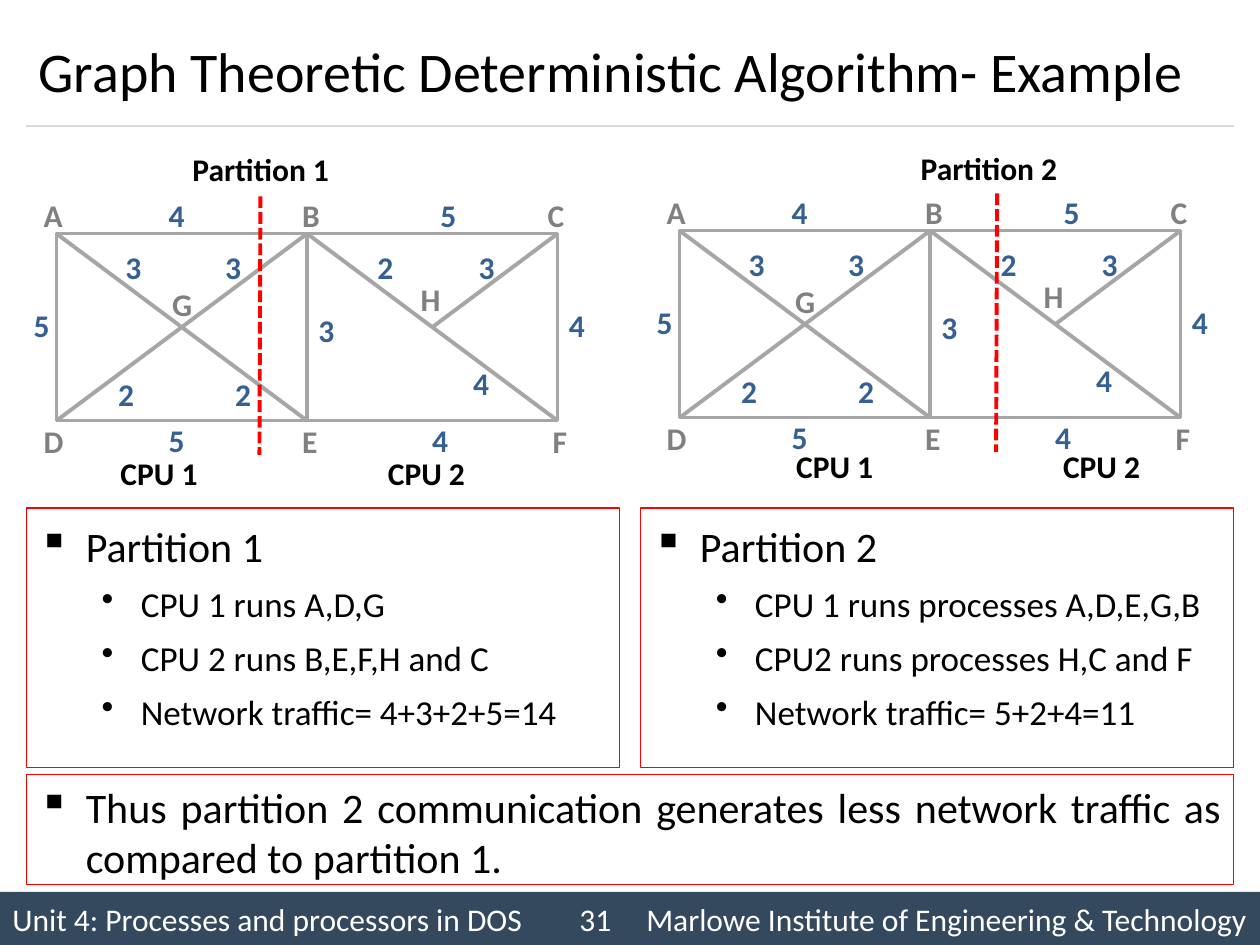
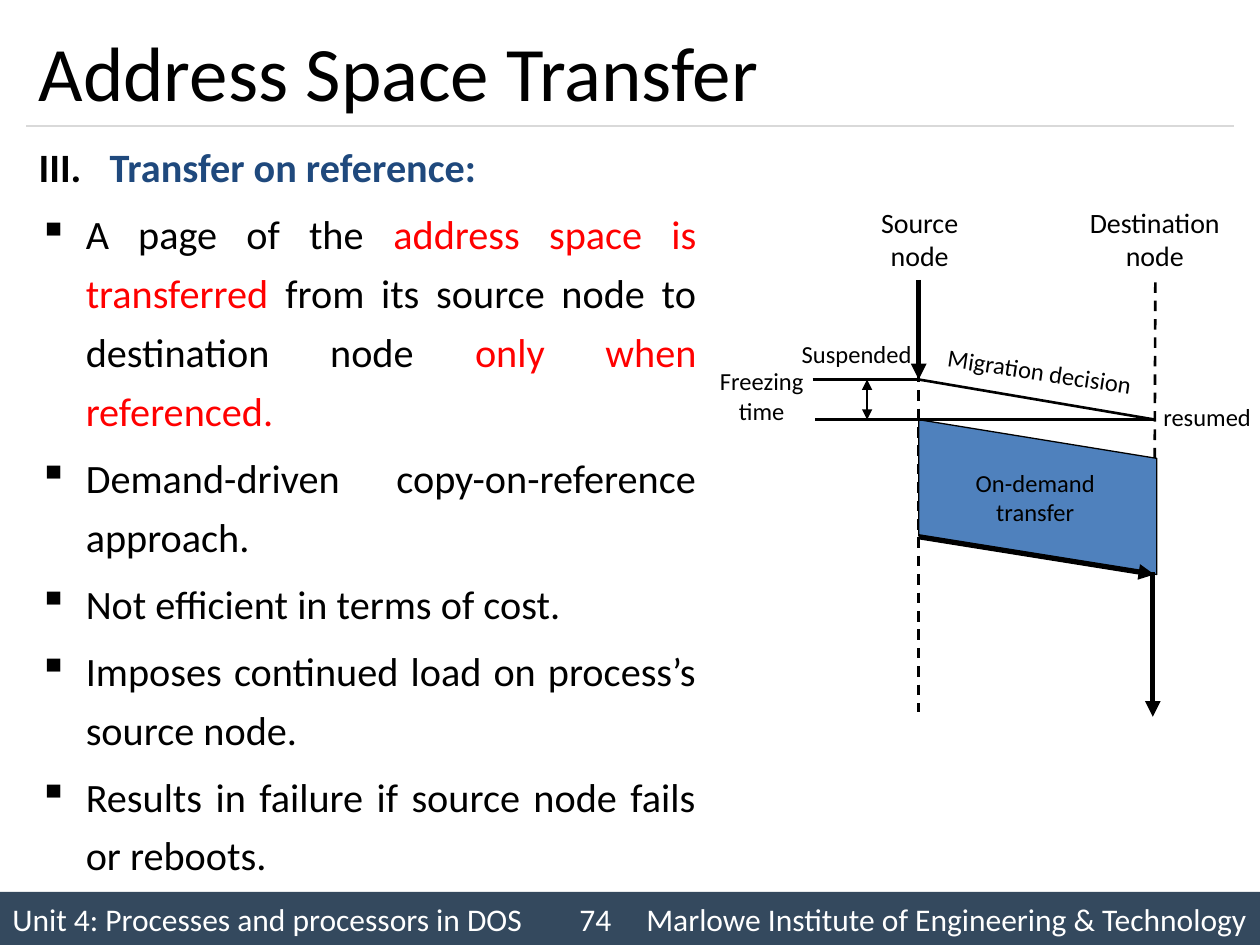
from lxml.etree import SubElement
from pptx import Presentation
from pptx.dml.color import RGBColor
from pptx.enum.dml import MSO_LINE
from pptx.enum.shapes import MSO_CONNECTOR, MSO_SHAPE
from pptx.enum.text import MSO_ANCHOR, PP_ALIGN
from pptx.oxml.ns import qn
from pptx.util import Cm, Pt

hues = {
    "ink": "000000", "paper": "FFFFFF", "band": "34495E", "rule": "D9D9D9",
    "edge": "A6A6A6", "node": "808080", "cost": "376092", "red": "FF0000",
    "head": "1F497D", "fill": "4F81BD",
}
tints = {name: RGBColor.from_string(code) for name, code in hues.items()}
dents = {"▪": (0.95, 0.95), "•": (2.06, 0.79), "III.": (1.43, 1.43)}
left, wide, high = 0.53, 24.34, 19.05


def write(shape, rows, size, tint="ink", bold=False, wrap=True, **form):
    frame = shape.text_frame
    frame.word_wrap = wrap
    paras = []
    for num, row in enumerate(rows):
        mark, parts = row if isinstance(row, tuple) else ("", [row])
        para = frame.paragraphs[0] if num == 0 else frame.add_paragraph()
        points = 20 if mark == "•" else size
        for key, val in form.items():
            setattr(para, key, val)
        for part in parts:
            text, hue, heavy = part if isinstance(part, tuple) else (part, tint, bold)
            run = para.add_run()
            run.text = text
            look = {"name": "Calibri", "size": Pt(points), "bold": heavy}
            for key, val in look.items():
                setattr(run.font, key, val)
            run.font.color.rgb = tints[hue]
        if mark:
            para.level = 1 if mark == "•" else 0
            para.space_before = Pt(points * 0.2)
            props = para._p.get_or_add_pPr()
            margin, hang = dents[mark]
            props.set("marL", str(Cm(margin)))
            props.set("indent", str(-Cm(hang)))
            if mark == "III.":
                shade = SubElement(props, qn("a:buClr"))
                SubElement(shade, qn("a:srgbClr"), val=hues["ink"])
                SubElement(props, qn("a:buAutoNum"), type="romanUcPeriod", startAt="3")
            else:
                SubElement(props, qn("a:buChar"), char=mark)
        paras.append(para)
    return paras


def draw(home, ends, tint="ink", width=1.5, dash=None, tips=()):
    link = home.add_connector(MSO_CONNECTOR.STRAIGHT, *map(Cm, ends))
    link.line.color.rgb = tints[tint]
    link.line.width = Pt(width)
    if dash:
        link.line.dash_style = dash
    props = link.element.spPr
    for tip in tips:
        SubElement(props.find(qn("a:ln")), qn(f"a:{tip}"), type="triangle")
    SubElement(props, qn("a:effectLst"))


deck = Presentation()
deck.slide_width, deck.slide_height = Cm(25.4), Cm(high)
stages = []
for title, size, page in [
    ("Graph Theoretic Deterministic Algorithm- Example", 32, 31),
    ("Address Space Transfer", 44, 74),
]:
    shapes = deck.slides.add_slide(deck.slide_layouts[6]).shapes
    band = shapes.add_shape(MSO_SHAPE.RECTANGLE, 0, Cm(17.98), Cm(25.4), Cm(1.07))
    band.shadow.inherit = False
    band.fill.solid()
    band.fill.fore_color.rgb = tints["band"]
    band.line.fill.background()
    band.text_frame.vertical_anchor = MSO_ANCHOR.MIDDLE
    foot = f"Unit 4: Processes and processors in DOS\t{page}\tMarlowe Institute of Engineering & Technology"
    [para] = write(band, [foot], 18, "paper", wrap=False, alignment=PP_ALIGN.LEFT)
    stops = SubElement(para._p.get_or_add_pPr(), qn("a:tabLst"))
    for stop in (11.43, 12.78):
        SubElement(stops, qn("a:tab"), pos=str(Cm(stop)), algn="l")
    draw(shapes, (left, 2.54, left + wide, 2.54), "rule", 0.75)
    box = shapes.add_textbox(Cm(left), Cm(0.3), Cm(wide), Cm(2.24))
    box.text_frame.vertical_anchor = MSO_ANCHOR.MIDDLE
    write(box, [title], size)
    stages.append(shapes)

graph, space = stages

w, h = 10.1, 3.77
mid = w / 2
edges = [
    (mid, 0, mid, h), (0, 0, mid, h), (mid, 0, w, h),
    (mid, 0, 0, h), (w, 0, w * 0.75, h / 2),
]
nodes = [
    ("A", -0.51, -0.89), ("B", 4.7, -0.89), ("C", 9.65, -0.89),
    ("D", -0.51, 3.68), ("E", 4.7, 3.68), ("F", 9.75, 3.68),
    ("G", 2.08, 0.91), ("H", 7.09, 0.81),
]
costs = [
    ("4", 2.01, -0.89), ("4", 10.08, 1.34), ("4", 8.15, 2.51), ("4", 7.32, 3.66),
    ("3", 8.26, 0.16), ("3", 5.03, 1.44), ("3", 3.15, 0.17), ("3", 1.14, 0.17),
    ("5", -0.71, 1.34), ("5", 2.01, 3.66), ("5", 7.49, -0.89),
    ("2", 6.22, 0.17), ("2", 3.35, 2.72), ("2", 0.99, 2.72),
]
cuts = [
    (1.14, 4.71, 5.25, [("Partition 1", 3.63, 2.9, 3.33), ("CPU 1", 2.18, 9.02, 2.11), ("CPU 2", 7.57, 9.02, 2.11)]),
    (13.7, 4.65, 20.1, [("Partition 2", 18.31, 2.87, 3.33), ("CPU 1", 15.8, 8.89, 2.11), ("CPU 2", 21.18, 8.89, 2.11)]),
]
for x, y, cut, tags in cuts:
    net = graph.add_group_shape().shapes
    frame = net.add_shape(MSO_SHAPE.RECTANGLE, Cm(x), Cm(y), Cm(w), Cm(h))
    frame.shadow.inherit = False
    frame.fill.solid()
    frame.fill.fore_color.rgb = tints["paper"]
    frame.line.color.rgb = tints["edge"]
    frame.line.width = Pt(2)
    for x1, y1, x2, y2 in edges:
        draw(net, (x + x1, y + y1, x + x2, y + y2), "edge", 2.25)
    for tint, spots in (("node", nodes), ("cost", costs)):
        for text, dx, dy in spots:
            inner = text in "GH"
            box = net.add_textbox(Cm(x + dx), Cm(y + dy), Cm(0.84 if inner else 0.69), Cm(0.79))
            write(box, [text], 18, tint, True, alignment=PP_ALIGN.CENTER if inner else PP_ALIGN.LEFT)
    draw(graph, (cut, y - 0.75, cut - 0.02, y + 4.46), "red", 2.25, MSO_LINE.SQUARE_DOT)
    for text, tx, ty, span in tags:
        box = graph.add_textbox(Cm(tx), Cm(ty), Cm(span), Cm(1.02))
        write(box, [text], 18, bold=True, wrap=False)

panels = [
    (left, 10.24, 11.96, 5.23, 1.12, [
        ("▪", ["Partition 1"]), ("•", ["CPU 1 runs A,D,G"]),
        ("•", ["CPU 2 runs B,E,F,H and C"]), ("•", ["Network traffic= 4+3+2+5=14"]),
    ]),
    (12.91, 10.24, 11.96, 5.23, 1.12, [
        ("▪", ["Partition 2"]), ("•", ["CPU 1 runs processes A,D,E,G,B"]),
        ("•", ["CPU2 runs processes H,C and F"]), ("•", ["Network traffic= 5+2+4=11"]),
    ]),
    (left, 15.62, wide, 2.21, 1.0, [
        ("▪", ["Thus partition 2 communication generates less network traffic as compared to partition 1."]),
    ]),
]
for *area, gap, rows in panels:
    panel = graph.add_shape(MSO_SHAPE.RECTANGLE, *map(Cm, area))
    panel.shadow.inherit = False
    panel.fill.background()
    panel.line.color.rgb = tints["red"]
    panel.line.width = Pt(0.75)
    panel.text_frame.vertical_anchor = MSO_ANCHOR.TOP
    write(panel, rows, 24, alignment=PP_ALIGN.JUSTIFY, line_spacing=gap)

points = [
    ("III.", [("Transfer on reference:", "head", True)]),
    ("▪", [
        "A page of the ", ("address space is transferred ", "red", False),
        "from its source node to destination node ", ("only when referenced.", "red", False),
    ]),
    ("▪", ["Demand-driven copy-on-reference approach."]),
    ("▪", ["Not efficient in terms of cost."]),
    ("▪", ["Imposes continued load on process’s source node."]),
    ("▪", ["Results in failure if source node fails or reboots."]),
]
body = space.add_textbox(Cm(left), Cm(2.54), Cm(13.77), Cm(14.81))
write(body, points, 23, alignment=PP_ALIGN.JUSTIFY, line_spacing=1.22)

src, dst, stop, start = 18.52, 23.29, 7.65, 8.46
draw(space, (src, 5.64, src, 14.35), dash=MSO_LINE.DASH)
draw(space, (dst, 5.69, dst - 0.02, 11.58), dash=MSO_LINE.DASH)

slant = space.add_shape(MSO_SHAPE.PARALLELOGRAM, Cm(19.36), Cm(7.62), Cm(3.12), Cm(4.8))
slant.adjustments[0] = 0.25
slant.rotation = 270
slant.shadow.inherit = False
slant.fill.solid()
slant.fill.fore_color.rgb = tints["fill"]
slant.line.color.rgb = tints["ink"]
slant.line.width = Pt(0.75)
slant.text_frame.vertical_anchor = MSO_ANCHOR.MIDDLE
slant.element.txBody.find(qn("a:bodyPr")).set("vert", "eaVert")
write(slant, ["On-demand", "transfer"], 14, wrap=False, alignment=PP_ALIGN.CENTER)

for ends in [
    (src, 5.64, src, stop),
    (src, 10.82, 23.27, 11.58),
    (23.24, 11.53, 23.24, 14.45),
]:
    draw(space, ends, width=3, tips=["tailEnd"])
for ends in [
    (16.38, stop, src, stop),
    (16.43, start, dst, start),
    (src, stop, dst, start),
]:
    draw(space, ends)
draw(space, (17.48, stop, 17.48, start), tips=["headEnd", "tailEnd"])

for rows, size, area, turn in [
    (["Source", "node"], 16, (17.5, 4.01, 2.08, 1.63), 0),
    (["Destination", "node"], 16, (21.69, 4.01, 3.18, 1.63), 0),
    (["Suspended"], 14, (15.9, 6.71, 2.74, 0.86), 0),
    (["Migration decision"], 14, (18.67, 7.06, 4.57, 0.86), 8.6),
    (["resumed"], 14, (23.19, 7.98, 2.29, 0.86), 0),
    (["Freezing", "time"], 14, (14.25, 7.26, 2.21, 1.45), 0),
]:
    box = space.add_textbox(*map(Cm, area))
    box.rotation = turn
    write(box, rows, size, wrap=bool(turn), alignment=PP_ALIGN.CENTER)

deck.save("out.pptx")
